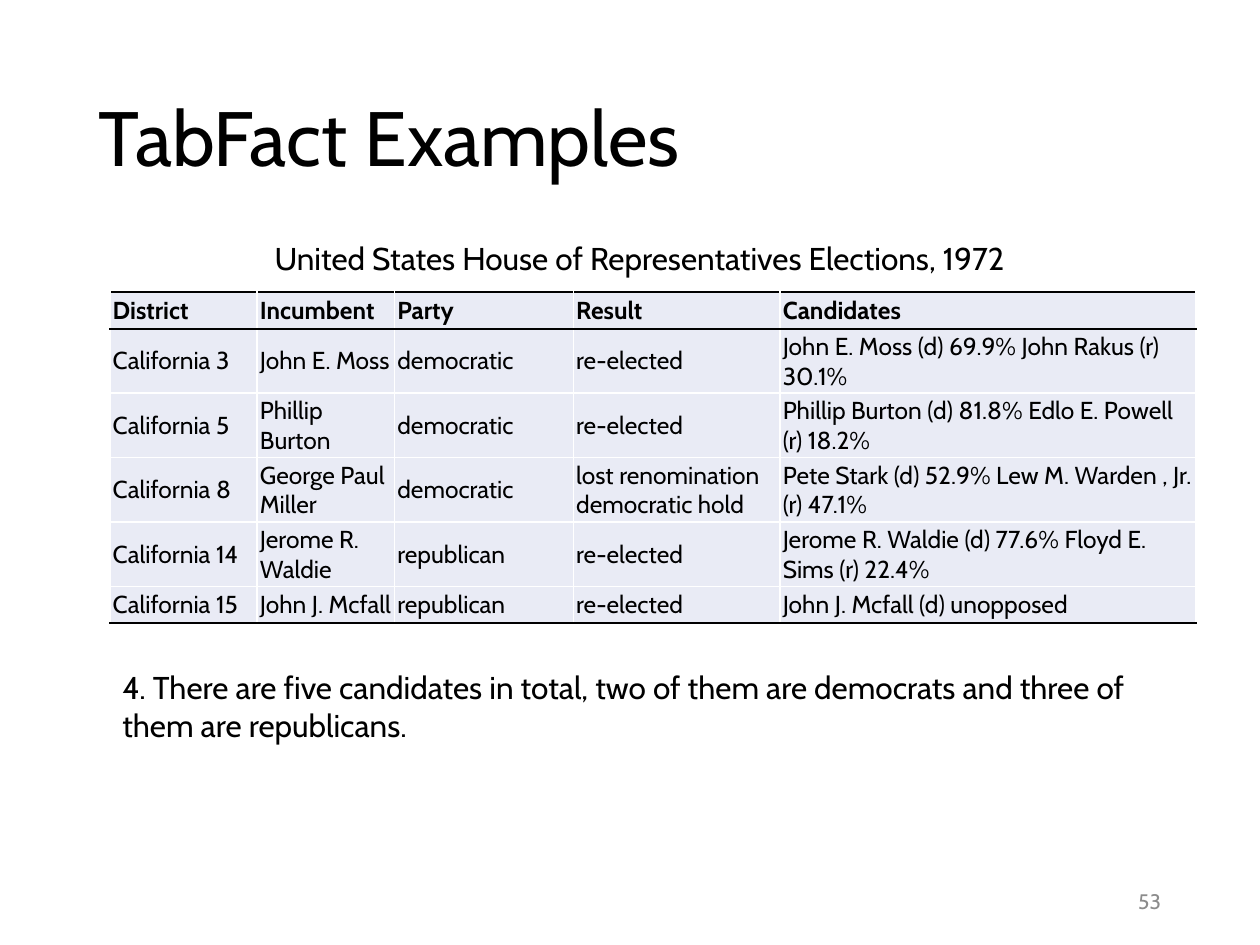
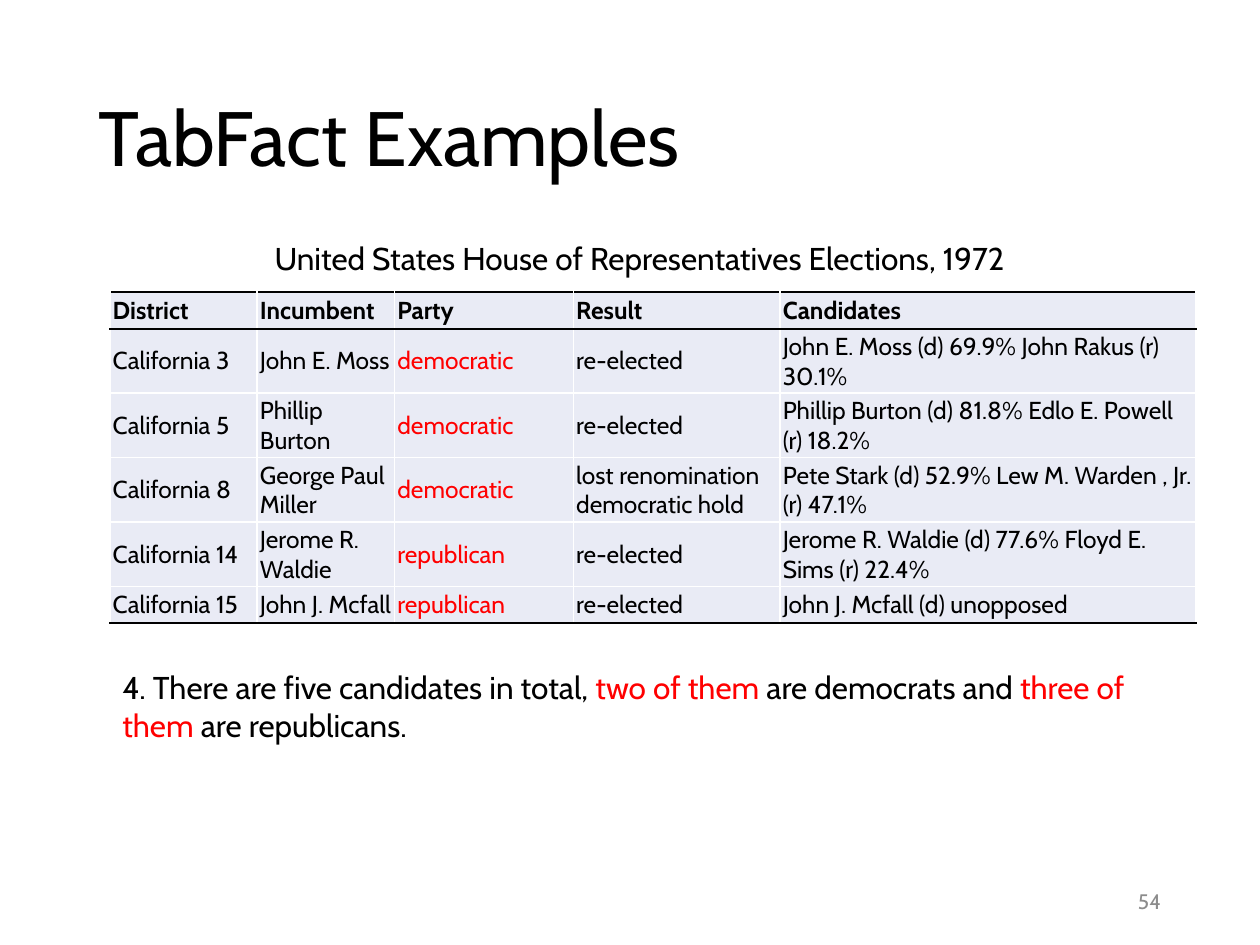
from lxml import etree
from pptx import Presentation
from pptx.dml.color import RGBColor
from pptx.enum.text import MSO_ANCHOR as Anchor, PP_ALIGN as Align
from pptx.oxml.ns import qn
from pptx.util import Pt

FONT = "Cabin"
BLACK = RGBColor(0x00, 0x00, 0x00)
WHITE = RGBColor(0xFF, 0xFF, 0xFF)
RED = RGBColor(0xFF, 0x00, 0x00)
GRAY = RGBColor(0x8C, 0x8C, 0x8C)
CELL_FILL = RGBColor(0xE9, 0xEB, 0xF5)

COLUMN_WIDTHS = [84.2, 78.5, 102.2, 118.1, 237.6]
ROW_HEIGHT = 20.9
CELL_MARGIN = 1.6
PARTY_COLUMN = 2

ELECTIONS = [
    ["District", "Incumbent", "Party", "Result", "Candidates"],
    ["California 3", "John E. Moss", "democratic", "re-elected",
     "John E. Moss (d) 69.9% John Rakus (r) 30.1%"],
    ["California 5", "Phillip Burton", "democratic", "re-elected",
     "Phillip Burton (d) 81.8% Edlo E. Powell (r) 18.2%"],
    ["California 8", "George Paul Miller", "democratic", "lost renomination democratic hold",
     "Pete Stark (d) 52.9% Lew M. Warden , Jr. (r) 47.1%"],
    ["California 14", "Jerome R. Waldie", "republican", "re-elected",
     "Jerome R. Waldie (d) 77.6% Floyd E. Sims (r) 22.4%"],
    ["California 15", "John J. Mcfall", "republican", "re-elected",
     "John J. Mcfall (d) unopposed"],
]
STATEMENT = [
    ("4. There are five candidates in total, ", BLACK),
    ("two of them ", RED),
    ("are democrats and ", BLACK),
    ("three of them ", RED),
    ("are republicans.", BLACK),
]


class Deck:
    """Holds the shared style and draws elements on the current slide."""

    def __init__(self):
        self.presentation = Presentation()
        self.presentation.slide_width = Pt(720)
        self.presentation.slide_height = Pt(540)
        self.slide = None

    def add_slide(self, title, number):
        self.slide = self.presentation.slides.add_slide(self.presentation.slide_layouts[6])
        heading = self.add_text(title, 49.5, 28.8, 621, 104.4, size=44, anchor=Anchor.MIDDLE)
        heading.line_spacing = 0.9
        footer = self.add_text(str(number), 508.5, 500.5, 162, 28.75, size=12, color=GRAY,
                               anchor=Anchor.MIDDLE)
        footer.alignment = Align.RIGHT

    def style(self, paragraph, size, color=None, bold=False):
        paragraph.font.name = FONT
        paragraph.font.size = Pt(size)
        paragraph.font.bold = bold
        if color is not None:
            paragraph.font.color.rgb = color

    def add_text(self, text, left, top, width, height, size=18, color=BLACK, anchor=Anchor.TOP):
        box = self.slide.shapes.add_textbox(Pt(left), Pt(top), Pt(width), Pt(height))
        box.text_frame.word_wrap = True
        box.text_frame.vertical_anchor = anchor
        paragraph = box.text_frame.paragraphs[0]
        if isinstance(text, str):
            paragraph.text = text
            self.style(paragraph, size, color)
        else:
            for words, run_color in text:
                run = paragraph.add_run()
                run.text = words
                run.font.color.rgb = run_color
            self.style(paragraph, size)
        return paragraph

    def add_borders(self, cell, borders):
        properties = cell._tc.get_or_add_tcPr()
        for position, (side, color) in enumerate(borders):
            line = etree.Element(qn(f"a:ln{side}"), w=str(Pt(1)))
            fill = etree.SubElement(line, qn("a:solidFill"))
            etree.SubElement(fill, qn("a:srgbClr"), val=str(color))
            properties.insert(position, line)

    def add_table(self, rows, left, top, widths, marked_column=None):
        frame = self.slide.shapes.add_table(len(rows), len(widths), Pt(left), Pt(top),
                                            Pt(sum(widths)), Pt(ROW_HEIGHT * len(rows)))
        table = frame.table
        table.horz_banding = False
        for column, width in zip(table.columns, widths):
            column.width = Pt(width)
        rules = [BLACK, BLACK] + [WHITE] * (len(rows) - 2) + [BLACK]
        for row_index, row in enumerate(rows):
            table.rows[row_index].height = Pt(ROW_HEIGHT)
            for column_index, text in enumerate(row):
                cell = table.cell(row_index, column_index)
                cell.text = text
                cell.vertical_anchor = Anchor.MIDDLE
                cell.margin_left = cell.margin_right = Pt(CELL_MARGIN)
                cell.margin_top = cell.margin_bottom = Pt(CELL_MARGIN)
                cell.fill.solid()
                cell.fill.fore_color.rgb = CELL_FILL
                marked = row_index > 0 and column_index == marked_column
                self.style(cell.text_frame.paragraphs[0], 14, RED if marked else BLACK,
                           bold=row_index == 0)
                borders = [("T", rules[row_index]), ("B", rules[row_index + 1])]
                if column_index < len(widths) - 1:
                    borders.insert(0, ("R", WHITE))
                if column_index > 0:
                    borders.insert(0, ("L", WHITE))
                self.add_borders(cell, borders)


def main():
    deck = Deck()
    for number, highlighted in [(53, False), (54, True)]:
        deck.add_slide("TabFact Examples", number)
        deck.add_table(ELECTIONS, 62.8, 167, COLUMN_WIDTHS,
                       marked_column=PARTY_COLUMN if highlighted else None)
        deck.add_text("United States House of Representatives Elections, 1972",
                      149.8, 133.2, 473, 29)
        statement = STATEMENT if highlighted else "".join(words for words, _ in STATEMENT)
        deck.add_text(statement, 62.8, 378, 620.6, 51)
    deck.presentation.save("out.pptx")


if __name__ == "__main__":
    main()
